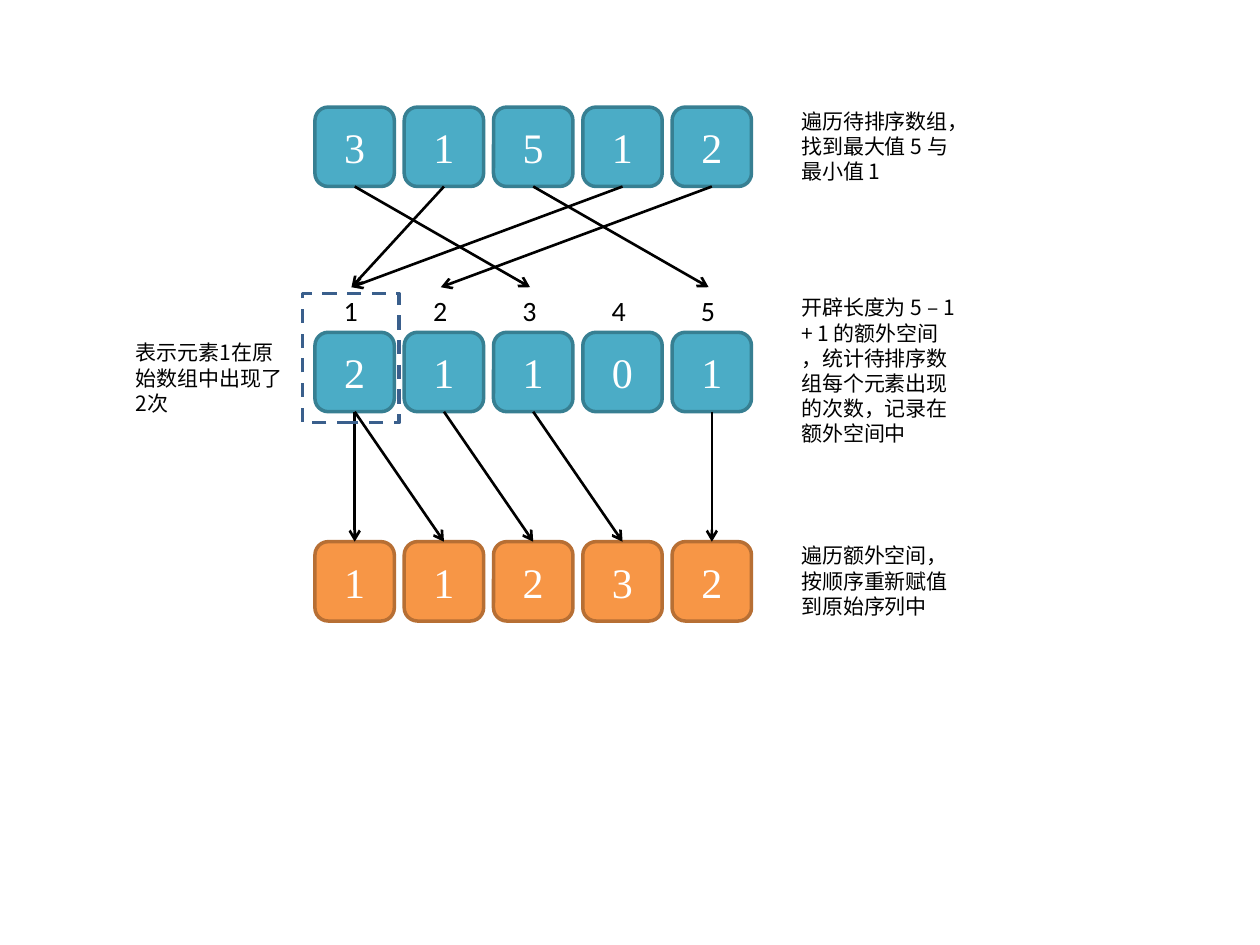
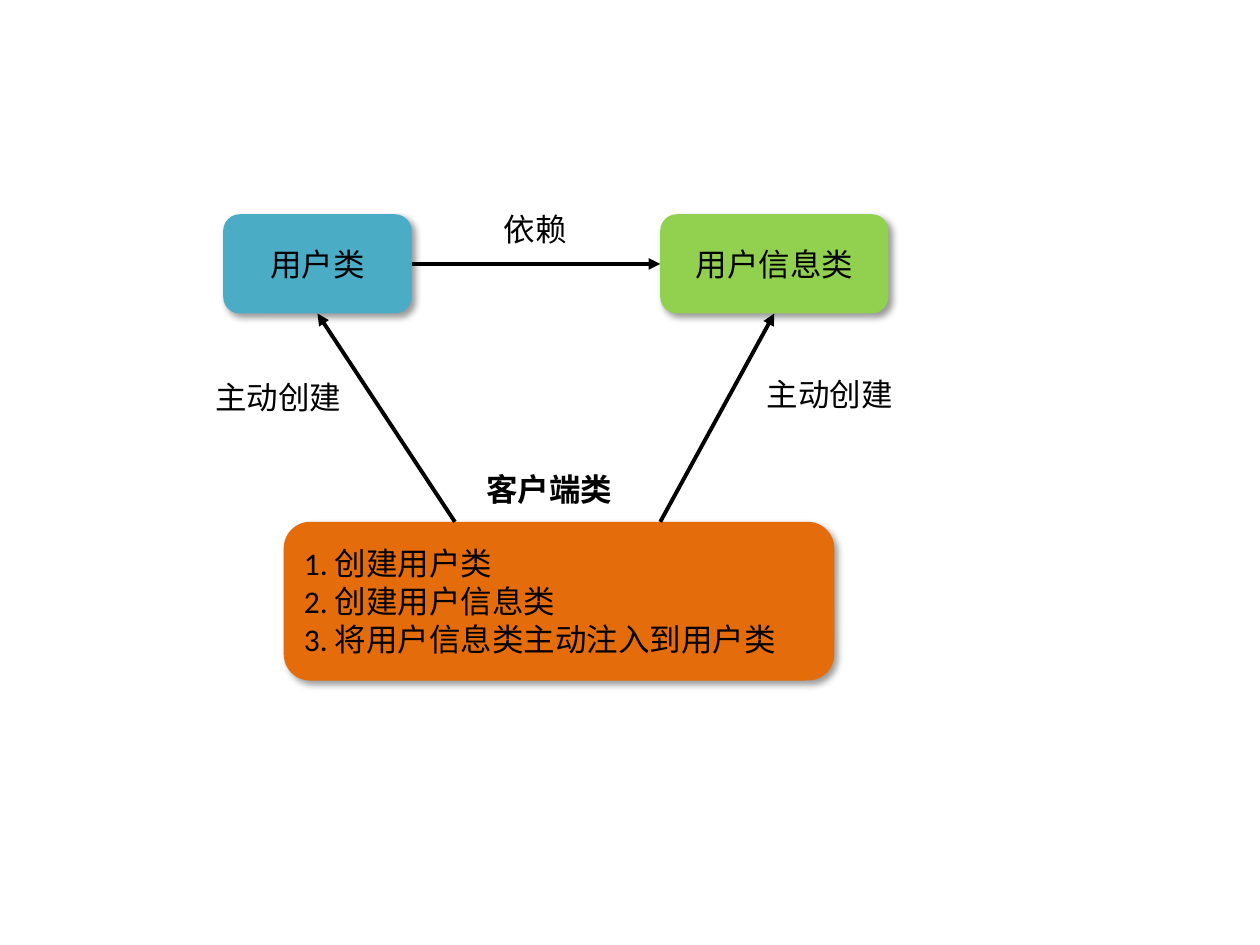
from typing import NamedTuple, Optional

import pptx
import pptx.dml.color
import pptx.enum.dml
import pptx.enum.shapes
import pptx.enum.text
import pptx.oxml.ns
import pptx.util
from lxml import etree
from pptx.dml.color import RGBColor
from pptx.util import Cm

qn = pptx.oxml.ns.qn
KIND = pptx.enum.shapes.MSO_SHAPE
ALIGN = pptx.enum.text.PP_ALIGN

BLACK = RGBColor(0x00, 0x00, 0x00)
WHITE = RGBColor(0xFF, 0xFF, 0xFF)
TEAL = RGBColor(0x4B, 0xAC, 0xC6)
TEAL_EDGE = RGBColor(0x37, 0x7F, 0x92)
AMBER = RGBColor(0xF7, 0x96, 0x46)
AMBER_EDGE = RGBColor(0xB7, 0x6F, 0x34)
GREEN = RGBColor(0x92, 0xD0, 0x50)
RUST = RGBColor(0xE4, 0x6C, 0x0A)
NAVY = RGBColor(0x3A, 0x5F, 0x8C)

LATIN = "Calibri"
SERIF = "Times New Roman"
HAN = "Noto Sans CJK JP"
HAN_BOLD = "Noto Sans CJK SC"

TOP, LEFT, BOTTOM, RIGHT = range(4)


class Box(NamedTuple):
    left: float
    top: float
    width: float
    height: float

    def place(self) -> tuple:
        return tuple(Cm(side) for side in self)


class Style(NamedTuple):
    size: int
    latin: str
    color: RGBColor = BLACK
    align: Optional[ALIGN] = None
    han: Optional[str] = None
    bold: bool = False


class Row(NamedTuple):
    top: float
    values: str
    fill: RGBColor
    edge: RGBColor


class Note(NamedTuple):
    box: Box
    text: str
    style: Style
    wrap: bool = True


class Card(NamedTuple):
    box: Box
    text: str
    fill: RGBColor
    align: ALIGN


DIGIT = Style(24, SERIF, WHITE, ALIGN.CENTER)
INDEX = Style(16, LATIN)
SMALL = Style(12, HAN, han=HAN)
LABEL = Style(18, HAN, han=HAN)
HEAD = Style(18, HAN_BOLD, han=HAN_BOLD, bold=True)

CELL, STEP, START = 1.6, 1.8, 6.35
NOTE_LEFT, NOTE_WIDTH = 15.9, 3.6

ROWS = [
    Row(2.16, "31512", TEAL, TEAL_EDGE),
    Row(6.7, "21101", TEAL, TEAL_EDGE),
    Row(10.92, "11232", AMBER, AMBER_EDGE),
]
COUNT_LINKS = [(0, 2), (1, 0), (3, 0), (2, 4), (4, 1)]
SORT_LINKS = [(0, 0), (0, 1), (1, 2), (2, 3), (4, 4)]
SORT_NOTES = [
    Note(Box(NOTE_LEFT, 2.06, NOTE_WIDTH, 1.8),
         "遍历待排序数组，找到最大值 5 与最小值 1", SMALL),
    Note(Box(NOTE_LEFT, 5.82, NOTE_WIDTH, 3.33),
         "开辟长度为 5 – 1 + 1 的额外空间\n，统计待排序数组每个元素出现的次数，记录在额外空间中", SMALL),
    Note(Box(NOTE_LEFT, 10.82, NOTE_WIDTH, 1.8),
         "遍历额外空间，按顺序重新赋值到原始序列中", SMALL),
    Note(Box(2.49, 6.73, NOTE_WIDTH, 1.8),
         "表示元素1在原始数组中出现了2次", SMALL),
]

USER = Card(Box(4.5, 4.32, 3.8, 2), "用户类", TEAL, ALIGN.CENTER)
INFO = Card(Box(13.31, 4.32, 4.6, 2), "用户信息类", GREEN, ALIGN.CENTER)
CLIENT = Card(Box(5.72, 10.52, 11.1, 3.2),
              "1. 创建用户类\n2. 创建用户信息类\n3. 将用户信息类主动注入到用户类",
              RUST, ALIGN.LEFT)
CLASS_NOTES = [
    Note(Box(9.91, 4.11, 1.8, 1.02), "依赖", LABEL, False),
    Note(Box(15.21, 7.44, 3.07, 1.02), "主动创建", LABEL, False),
    Note(Box(4.09, 7.49, 3.07, 1.02), "主动创建", LABEL, False),
    Note(Box(9.55, 9.35, 3.07, 1.02), "客户端类", HEAD, False),
]


def write(frame, text: str, style: Style) -> None:
    frame.text = text
    for para in frame.paragraphs:
        if style.align is not None:
            para.alignment = style.align
        font = para.font
        font.size = pptx.util.Pt(style.size)
        font.name = style.latin
        font.color.rgb = style.color
        if style.bold:
            font.bold = True
        if style.han:
            para.line_spacing = pptx.util.Pt(style.size * 1.2)
            base = para._p.pPr.find(qn("a:defRPr"))
            etree.SubElement(base, qn("a:ea"), typeface=style.han)


def add_note(slide, note: Note):
    shape = slide.shapes.add_textbox(*note.box.place())
    frame = shape.text_frame
    frame.word_wrap = note.wrap
    frame.auto_size = pptx.enum.text.MSO_AUTO_SIZE.SHAPE_TO_FIT_TEXT
    write(frame, note.text, note.style)
    return shape


def add_round(slide, box: Box, fill: RGBColor, text: str, style: Style):
    shape = slide.shapes.add_shape(KIND.ROUNDED_RECTANGLE, *box.place())
    shape.shadow.inherit = False
    shape.fill.solid()
    shape.fill.fore_color.rgb = fill
    shape.text_frame.vertical_anchor = pptx.enum.text.MSO_ANCHOR.MIDDLE
    write(shape.text_frame, text, style)
    return shape


def add_row(slide, row: Row) -> list:
    cells = []
    for col, value in enumerate(row.values):
        box = Box(START + col * STEP, row.top, CELL, CELL)
        cell = add_round(slide, box, row.fill, value, DIGIT)
        cell.line.color.rgb = row.edge
        cell.line.width = pptx.util.Pt(2)
        cells.append(cell)
    return cells


def add_card(slide, card: Card):
    style = Style(18, LATIN, align=card.align, han=HAN)
    shape = add_round(slide, card.box, card.fill, card.text, style)
    shape.line.fill.background()
    cast_shadow(shape)
    return shape


def cast_shadow(shape) -> None:
    """Give the shape a soft shadow down to the right."""
    effects = shape._element.spPr.find(qn("a:effectLst"))
    outer = etree.SubElement(
        effects, qn("a:outerShdw"), blurRad=str(pptx.util.Pt(4)),
        dist=str(pptx.util.Pt(3)), dir="2700000", algn="tl", rotWithShape="0")
    color = etree.SubElement(outer, qn("a:srgbClr"), val=str(BLACK))
    etree.SubElement(color, qn("a:alpha"), val="40000")


def add_arrow(slide, start, end, width: float, head: str):
    """Join (shape, side) pairs; a start of two lengths in cm stays free."""
    line = slide.shapes.add_connector(
        pptx.enum.shapes.MSO_CONNECTOR.STRAIGHT, 0, 0, 0, 0)
    if isinstance(start[0], float):
        line.begin_x, line.begin_y = Cm(start[0]), Cm(start[1])
    else:
        line.begin_connect(*start)
    line.end_connect(*end)
    line.line.color.rgb = BLACK
    line.line.width = pptx.util.Pt(width)
    props = line._element.spPr
    etree.SubElement(props.find(qn("a:ln")), qn("a:tailEnd"), type=head)
    etree.SubElement(props, qn("a:effectLst"))


def draw_sort(slide) -> None:
    source, counts, result = [add_row(slide, row) for row in ROWS]
    marks = [
        add_note(slide, Note(Box(6.68 + col * STEP, 5.79, 0.81, 0.94),
                             str(col + 1), INDEX, False))
        for col in range(len(counts))
    ]
    for first, last in COUNT_LINKS:
        add_arrow(slide, (source[first], BOTTOM), (marks[last], TOP),
                  1.5, "arrow")
    for first, last in SORT_LINKS:
        add_arrow(slide, (counts[first], BOTTOM), (result[last], TOP),
                  1.5, "arrow")
    for note in SORT_NOTES:
        add_note(slide, note)
    frame = slide.shapes.add_shape(
        KIND.RECTANGLE, *Box(6.1, 5.92, 1.95, 2.6).place())
    frame.shadow.inherit = False
    frame.fill.background()
    frame.line.color.rgb = NAVY
    frame.line.width = pptx.util.Pt(2)
    frame.line.dash_style = pptx.enum.dml.MSO_LINE.DASH


def draw_class(slide) -> None:
    user, info, _ = [add_card(slide, card) for card in (USER, INFO, CLIENT)]
    edge = CLIENT.box.top
    for start, end in [
        ((user, RIGHT), (info, LEFT)),
        ((13.31, edge), (info, BOTTOM)),
        ((9.17, edge), (user, BOTTOM)),
    ]:
        add_arrow(slide, start, end, 2.25, "triangle")
    for note in CLASS_NOTES:
        add_note(slide, note)


def main() -> None:
    deck = pptx.Presentation()
    deck.slide_width, deck.slide_height = Cm(25.4), Cm(19.05)
    blank = deck.slide_layouts[6]
    for draw in (draw_sort, draw_class):
        draw(deck.slides.add_slide(blank))
    deck.save("out.pptx")


if __name__ == "__main__":
    main()
